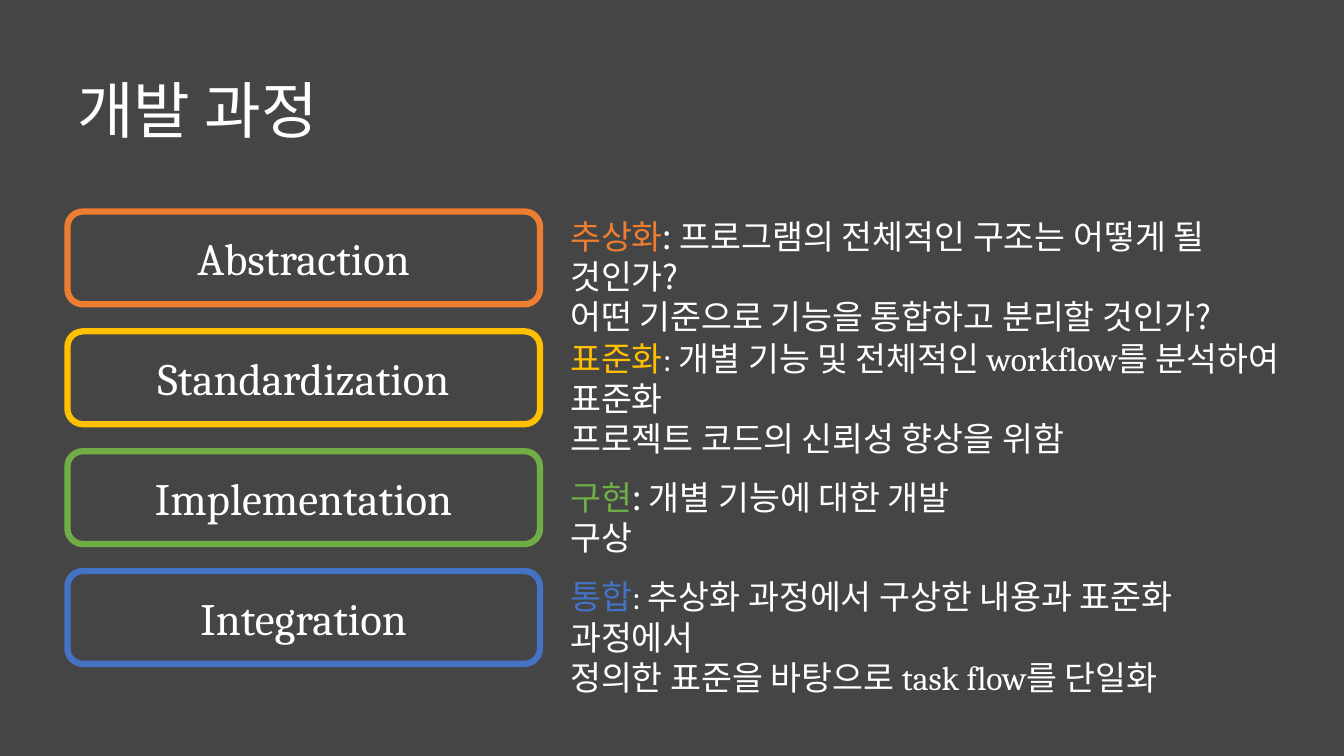
from lxml import etree
from pptx import Presentation
from pptx.dml.color import RGBColor
from pptx.enum.shapes import MSO_SHAPE
from pptx.enum.text import MSO_ANCHOR, MSO_AUTO_SIZE, PP_ALIGN
from pptx.oxml.ns import qn
from pptx.util import Cm, Pt

ROUNDED = MSO_SHAPE.ROUNDED_RECTANGLE
MIDDLE = MSO_ANCHOR.MIDDLE
CENTER = PP_ALIGN.CENTER
GROW = MSO_AUTO_SIZE.SHAPE_TO_FIT_TEXT

# Content
SERIF, SANS = "Cambria", "Noto Sans CJK KR"
WHITE, BACKGROUND = "FFFFFF", "454545"
TITLE = "개발 과정"

# Stage, colour, Korean term, explanation, font, note top and width in cm
STAGES = [
    ("Abstraction", "ED7D31", "추상화",
     [": 프로그램의 전체적인 구조는 어떻게 될 것인가?",
      "어떤 기준으로 기능을 통합하고 분리할 것인가?"], SANS, 5.31, 17.45),
    ("Standardization", "FFC000", "표준화",
     [": 개별 기능 및 전체적인 workflow를 분석하여 표준화",
      "프로젝트 코드의 신뢰성 향상을 위함"], SERIF, 8.38, 19.13),
    ("Implementation", "70AD47", "구현",
     [": 개별 기능에 대한 개발 구상"], SANS, 11.89, 10.69),
    ("Integration", "4472C4", "통합",
     [": 추상화 과정에서 구상한 내용과 표준화 과정에서",
      "정의한 표준을 바탕으로 task flow를 단일화"], SERIF, 14.4, 16.94),
]

# Layout in cm
LEFT, BOX_TOP, BOX_W, BOX_H, PITCH = 1.7, 5.33, 11.91, 2.34, 3.02
NOTE_LEFT, NOTE_LINE_H, NOTE_PADDING = 14.12, 1.03, 0.25


def rgb(color):
    return RGBColor.from_string(color)


def add_run(p, text, size, font, color):
    r = p.add_run()
    r.text = text
    r.font.size = Pt(size)
    r.font.color.rgb = rgb(color)
    r.font.name = font
    # Korean glyphs use the East Asian font
    latin = r.font._element.find(qn("a:latin"))
    ea = etree.Element(qn("a:ea"), typeface=SANS)
    latin.addnext(ea)


prs = Presentation()
prs.slide_width, prs.slide_height = Cm(33.87), Cm(19.05)
s = prs.slides.add_slide(prs.slide_layouts[6])
s.background.fill.solid()
s.background.fill.fore_color.rgb = rgb(BACKGROUND)

# Title
tf = s.shapes.add_textbox(Cm(LEFT), Cm(1.02), Cm(29.21), Cm(3.68)).text_frame
tf.word_wrap = True
tf.vertical_anchor = MIDDLE
p = tf.paragraphs[0]
p.line_spacing = 0.9
add_run(p, TITLE, 44, SERIF, WHITE)

for i, (stage, color, term, lines, font, top, width) in enumerate(STAGES):
    # Stage box
    sp = s.shapes.add_shape(ROUNDED, Cm(LEFT), Cm(BOX_TOP + i * PITCH),
                            Cm(BOX_W), Cm(BOX_H))
    sp.shadow.inherit = False
    sp.fill.background()
    sp.line.color.rgb = rgb(color)
    sp.line.width = Pt(4.5)
    tf = sp.text_frame
    tf.vertical_anchor = MIDDLE
    p = tf.paragraphs[0]
    p.alignment = CENTER
    add_run(p, stage, 32, SERIF, WHITE)

    # Explanation
    height = NOTE_PADDING + NOTE_LINE_H * len(lines)
    tf = s.shapes.add_textbox(Cm(NOTE_LEFT), Cm(top), Cm(width), Cm(height)).text_frame
    tf.word_wrap = True
    tf.auto_size = GROW
    p = tf.paragraphs[0]
    add_run(p, term, 24, font, color)
    add_run(p, lines[0], 24, font, WHITE)
    for line in lines[1:]:
        add_run(tf.add_paragraph(), line, 24, font, WHITE)

prs.save("out.pptx")
